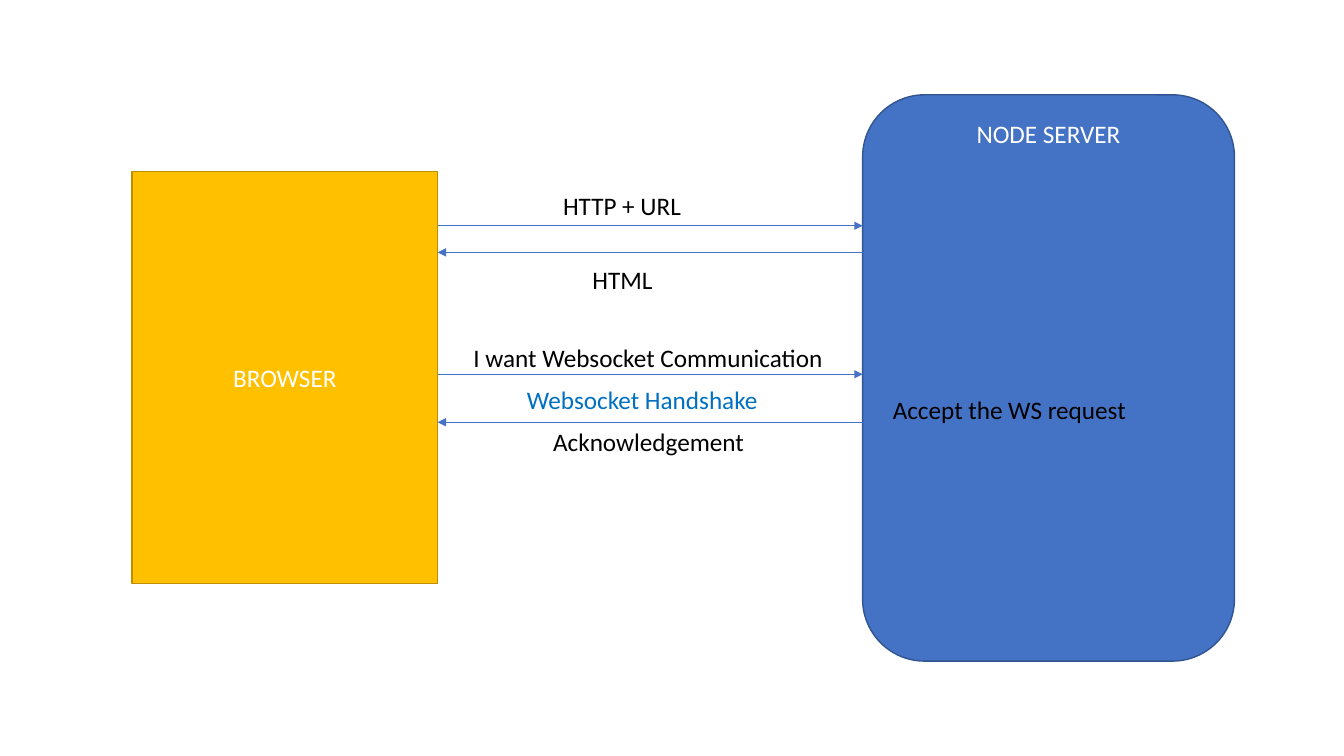
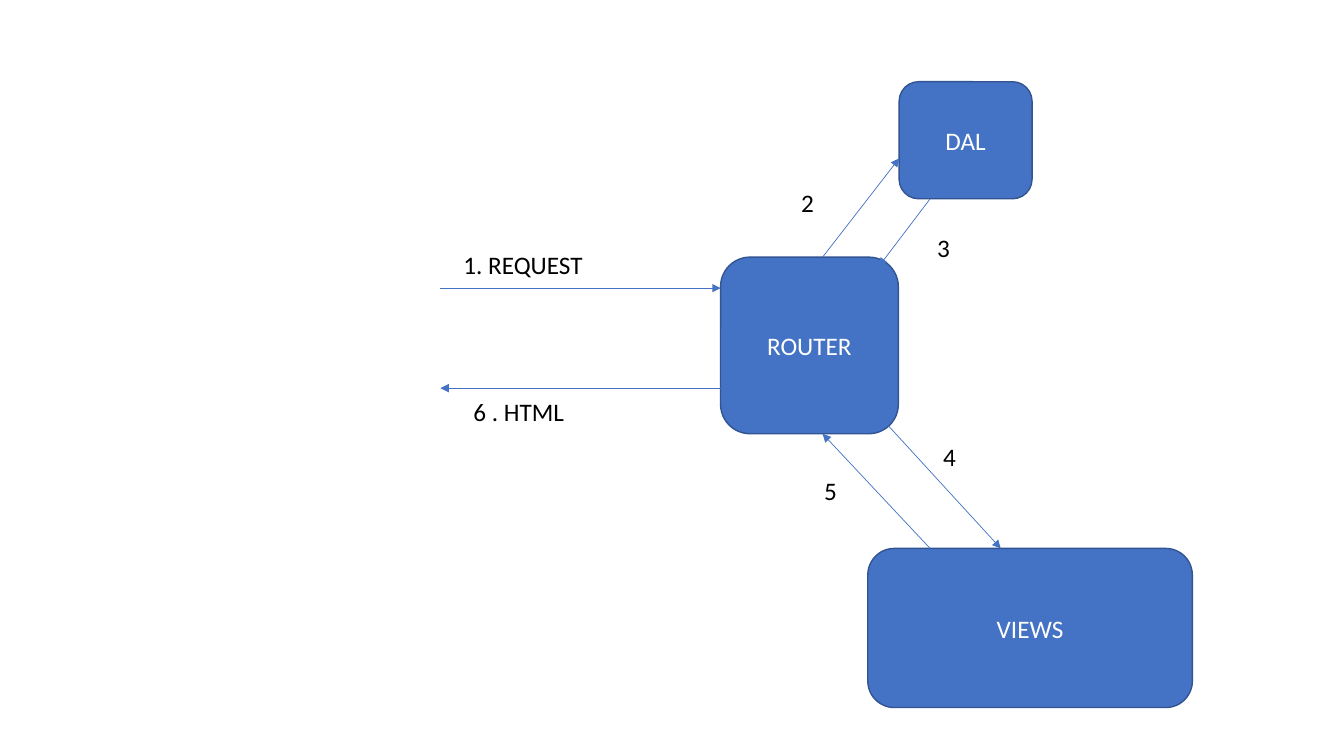
from pptx import Presentation
from pptx.dml.color import RGBColor
from pptx.enum.shapes import MSO_CONNECTOR, MSO_SHAPE
from pptx.enum.text import MSO_ANCHOR, MSO_AUTO_SIZE, PP_ALIGN
from pptx.oxml.ns import qn
from pptx.util import Cm, Pt
from lxml.etree import SubElement

BLUE = RGBColor(0x44, 0x72, 0xC4)
BLUE_EDGE = RGBColor(0x32, 0x54, 0x91)
GOLD = RGBColor(0xFF, 0xC0, 0x00)
GOLD_EDGE = RGBColor(0xBD, 0x8E, 0x00)
SKY = RGBColor(0x00, 0x70, 0xC0)
BLACK = RGBColor(0, 0, 0)
WHITE = RGBColor(0xFF, 0xFF, 0xFF)
FONT, SIZE = "Calibri", Pt(18)
LABEL_H = 1.03

ROUND, RECT = MSO_SHAPE.ROUNDED_RECTANGLE, MSO_SHAPE.RECTANGLE
TOP, MIDDLE = MSO_ANCHOR.TOP, MSO_ANCHOR.MIDDLE
BLUE_BOX = (ROUND, BLUE, BLUE_EDGE, MIDDLE)
SERVER_BOX = (ROUND, BLUE, BLUE_EDGE, TOP)
GOLD_BOX = (RECT, GOLD, GOLD_EDGE, MIDDLE)

BROWSER_RIGHT, SERVER_LEFT = 11.03, 21.74
CLIENT_X, ROUTER_LEFT = 11.1, 18.16
ROUTER_TOP, ROUTER_BOTTOM = 6.48, 10.93
DAL_LEFT, DAL_BOTTOM, VIEWS_TOP = 22.66, 5.01, 13.82
ROUTER_PORT, RETURN_X = 20.73, 23.44

SLIDES = [
    {
        "boxes": [
            ("NODE SERVER", (SERVER_LEFT, 2.39, 9.37, 14.27), SERVER_BOX),
            ("BROWSER", (3.33, 4.32, 7.7, 10.39), GOLD_BOX),
        ],
        "arrows": [
            ((BROWSER_RIGHT, 5.69), (SERVER_LEFT, 5.69)),
            ((SERVER_LEFT, 6.36), (BROWSER_RIGHT, 6.36)),
            ((BROWSER_RIGHT, 9.43), (SERVER_LEFT, 9.43)),
            ((SERVER_LEFT, 10.64), (BROWSER_RIGHT, 10.64)),
        ],
        "labels": [
            ("HTTP + URL", (13.94, 4.67, 3.53), BLACK),
            ("HTML", (14.68, 6.53, 2.06), BLACK),
            ("I want Websocket Communication", (11.68, 8.51, 9.42), BLACK),
            ("Acknowledgement", (13.69, 10.62, 5.38), BLACK),
            ("Accept the WS request", (22.25, 9.8, 6.45), BLACK),
            ("Websocket Handshake", (13.03, 9.55, 6.4), SKY),
        ],
    },
    {
        "boxes": [
            ("DAL", (DAL_LEFT, 2.06, 3.35, DAL_BOTTOM - 2.06), BLUE_BOX),
            ("ROUTER", (ROUTER_LEFT, ROUTER_TOP, 4.48, ROUTER_BOTTOM - ROUTER_TOP), BLUE_BOX),
            ("VIEWS", (21.87, VIEWS_TOP, 8.18, 4.01), BLUE_BOX),
        ],
        "arrows": [
            ((CLIENT_X, 7.26), (ROUTER_LEFT, 7.26)),
            ((ROUTER_LEFT, 9.78), (CLIENT_X, 9.78)),
            ((ROUTER_PORT, ROUTER_TOP), (DAL_LEFT, 3.99)),
            ((RETURN_X, DAL_BOTTOM), (22.15, 6.71)),
            ((22.38, 10.72), (25.22, VIEWS_TOP)),
            ((RETURN_X, VIEWS_TOP), (ROUTER_PORT, ROUTER_BOTTOM)),
        ],
        "labels": [
            ("6 . HTML", (11.68, 9.86, 2.82), BLACK),
            ("1. REQUEST", (11.43, 6.17, 3.53), BLACK),
            ("2", (19.94, 4.6, 0.84), BLACK),
            ("3", (23.37, 5.74, 0.84), BLACK),
            ("4", (23.52, 11, 0.84), BLACK),
            ("5", (20.52, 11.86, 0.84), BLACK),
        ],
    },
]


def write(tf, text, color, align):
    tf.text = text
    p = tf.paragraphs[0]
    p.alignment = align
    font = p.runs[0].font
    font.name, font.size = FONT, SIZE
    font.color.rgb = color


def add_box(slide, text, place, style):
    kind, fill, edge, anchor = style
    sp = slide.shapes.add_shape(kind, *map(Cm, place))
    sp.shadow.inherit = False
    sp.fill.solid()
    sp.fill.fore_color.rgb = fill
    sp.line.color.rgb = edge
    sp.line.width = Pt(1)
    sp.text_frame.vertical_anchor = anchor
    write(sp.text_frame, text, WHITE, PP_ALIGN.CENTER)


def add_arrow(slide, start, end):
    line = slide.shapes.add_connector(MSO_CONNECTOR.STRAIGHT, *map(Cm, start + end))
    line.line.color.rgb = BLUE
    line.line.width = Pt(0.5)
    SubElement(line.line._get_or_add_ln(), qn("a:tailEnd"), type="triangle")
    SubElement(line._element.spPr, qn("a:effectLst"))


def add_label(slide, text, place, color):
    tf = slide.shapes.add_textbox(*map(Cm, place + (LABEL_H,))).text_frame
    tf.word_wrap = False
    tf.auto_size = MSO_AUTO_SIZE.SHAPE_TO_FIT_TEXT
    write(tf, text, color, PP_ALIGN.LEFT)


def main():
    prs = Presentation()
    prs.slide_width, prs.slide_height = Cm(33.87), Cm(19.05)
    for content in SLIDES:
        slide = prs.slides.add_slide(prs.slide_layouts[6])
        for box in content["boxes"]:
            add_box(slide, *box)
        for arrow in content["arrows"]:
            add_arrow(slide, *arrow)
        for label in content["labels"]:
            add_label(slide, *label)
    prs.save("out.pptx")


if __name__ == "__main__":
    main()
